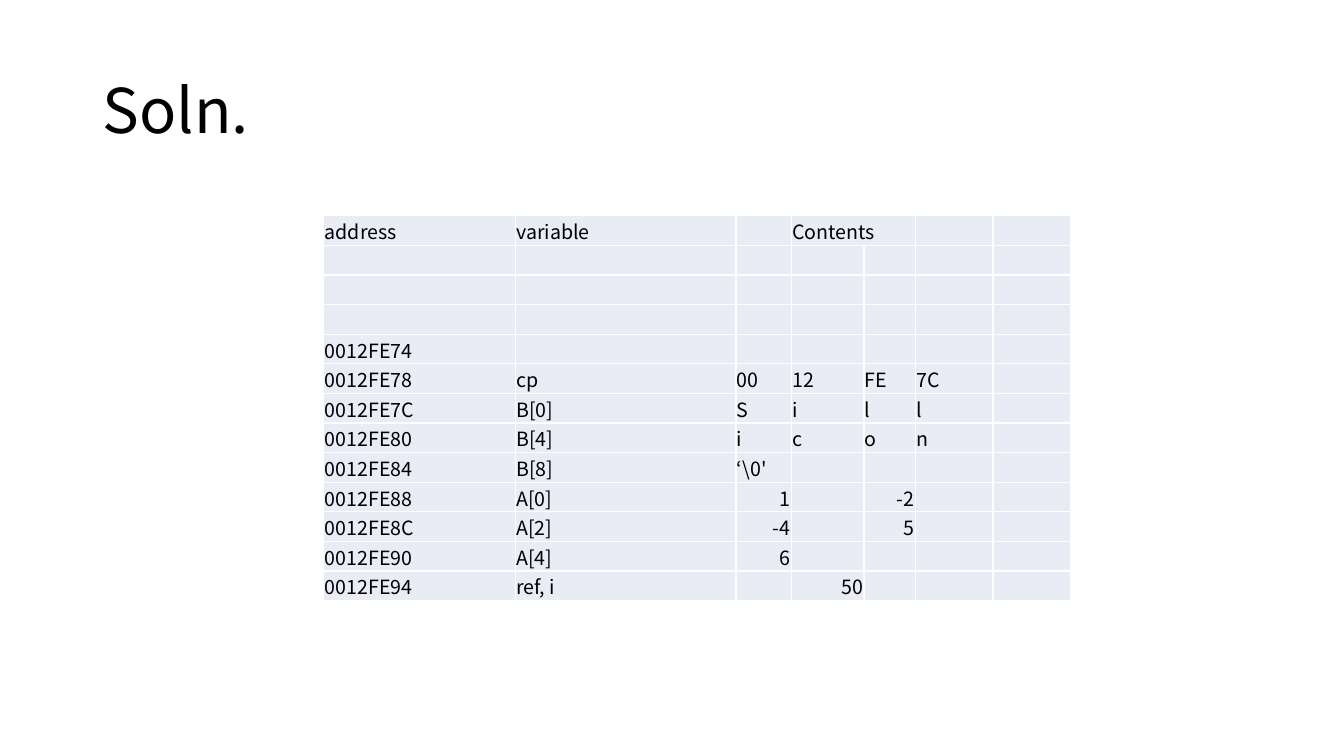
"""Build the solution slide with its memory layout table."""
from lxml.etree import SubElement
from pptx import Presentation
from pptx.dml.color import RGBColor
from pptx.enum.text import MSO_ANCHOR, PP_ALIGN
from pptx.oxml.ns import qn
from pptx.util import Inches, Pt

FONT = "Noto Sans CJK KR"
BLACK = RGBColor(0x00, 0x00, 0x00)
WHITE = RGBColor(0xFF, 0xFF, 0xFF)
PALE_BLUE = RGBColor(0xE9, 0xEB, 0xF5)
TEXT_SIZE = Pt(14)
ROW_HEIGHT = Inches(3.8 / 13)
COLUMN_WIDTHS = [1.9, 2.19, 0.55, 0.72, 0.51, 0.77, 0.77]
MEMORY = [
    ["address", "variable", "", "Contents"],
    [],
    [],
    [],
    ["0012FE74"],
    ["0012FE78", "cp", "00", "12", "FE", "7C"],
    ["0012FE7C", "B[0]", "S", "i", "l", "l"],
    ["0012FE80", "B[4]", "i", "c", "o", "n"],
    ["0012FE84", "B[8]", "‘\\0'"],
    ["0012FE88", "A[0]", 1, "", -2],
    ["0012FE8C", "A[2]", -4, "", 5],
    ["0012FE90", "A[4]", 6],
    ["0012FE94", "ref, i", "", 50],
]


def format_paragraph(para, size, alignment):
    """Set the font and alignment of a paragraph."""
    para.alignment = alignment
    para.font.name = FONT
    para.font.size = size
    para.font.color.rgb = BLACK


def add_borders(cell):
    """Draw a thin white line on each side of a cell."""
    properties = cell._tc.get_or_add_tcPr()
    for side in ("a:lnL", "a:lnR", "a:lnT", "a:lnB"):
        line = SubElement(properties, qn(side), w=str(Pt(1)))
        fill = SubElement(line, qn("a:solidFill"))
        SubElement(fill, qn("a:srgbClr"), val=str(WHITE))


deck = Presentation()
deck.slide_width, deck.slide_height = Inches(13.33), Inches(7.5)
page = deck.slides.add_slide(deck.slide_layouts[5])

title = page.shapes.title
title.left, title.top = Inches(0.92), Inches(0.4)
title.width, title.height = Inches(11.5), Inches(1.45)
title.text_frame.text = "Soln."
title.text_frame.vertical_anchor = MSO_ANCHOR.MIDDLE
heading = title.text_frame.paragraphs[0]
heading.line_spacing = 0.9
format_paragraph(heading, Pt(44), PP_ALIGN.LEFT)

frame = page.shapes.add_table(
    len(MEMORY), len(COLUMN_WIDTHS), Inches(3.21), Inches(2.14),
    Inches(sum(COLUMN_WIDTHS)), ROW_HEIGHT * len(MEMORY))
table = frame.table
table.first_row = False
table.horz_banding = False
for column, width in zip(table.columns, COLUMN_WIDTHS):
    column.width = Inches(width)

for row, values in zip(table.rows, MEMORY):
    row.height = ROW_HEIGHT
    padding = [""] * (len(COLUMN_WIDTHS) - len(values))
    for cell, value in zip(row.cells, values + padding):
        add_borders(cell)
        cell.fill.solid()
        cell.fill.fore_color.rgb = PALE_BLUE
        cell.vertical_anchor = MSO_ANCHOR.MIDDLE
        cell.margin_left = cell.margin_right = cell.margin_top = Inches(0.01)
        cell.margin_bottom = 0
        cell.text = str(value)
        para = cell.text_frame.paragraphs[0]
        is_number = isinstance(value, int)
        format_paragraph(para, TEXT_SIZE, PP_ALIGN.RIGHT if is_number else PP_ALIGN.LEFT)
        if value == "":
            SubElement(para._p, qn("a:endParaRPr"), sz="1400")

table.cell(0, 3).merge(table.cell(0, 4))

deck.save("out.pptx")
